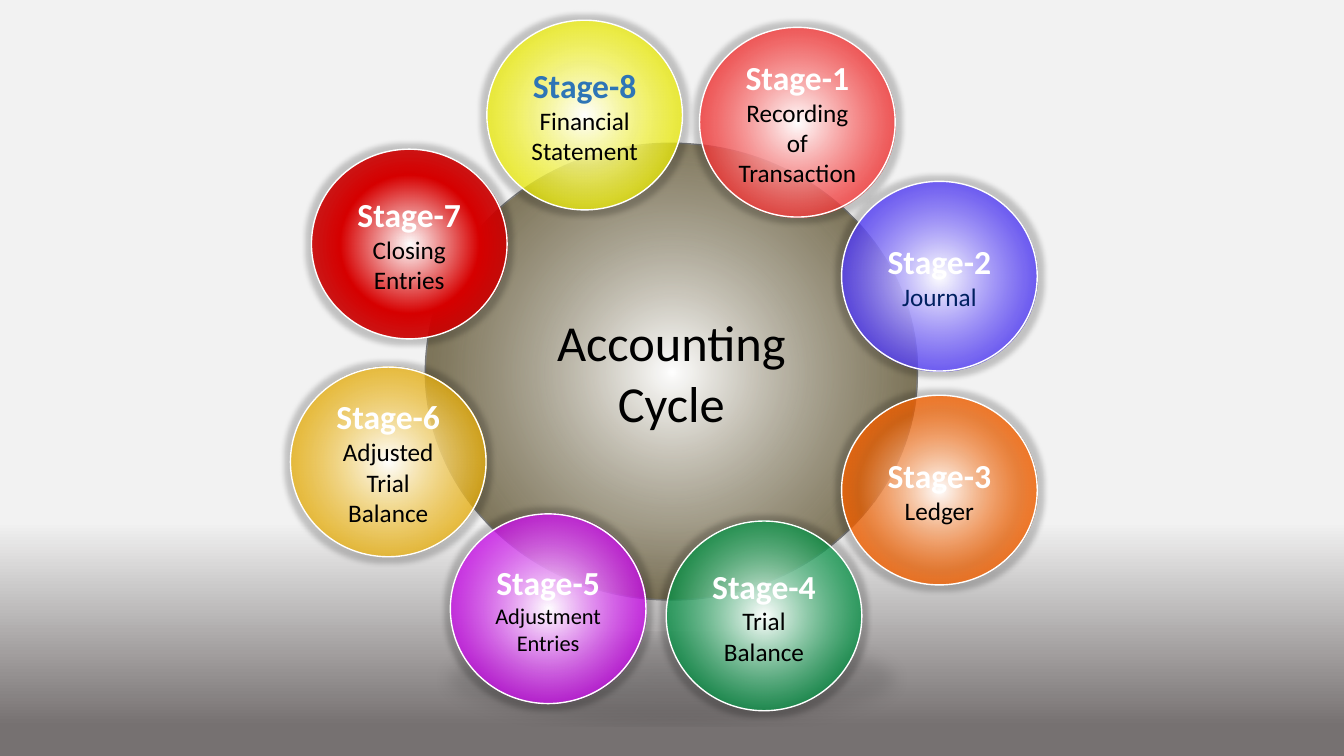
from dataclasses import dataclass

from lxml.etree import SubElement
from pptx import Presentation
from pptx.dml.color import RGBColor
from pptx.enum.shapes import MSO_SHAPE
from pptx.enum.text import MSO_ANCHOR, PP_ALIGN
from pptx.oxml.ns import qn
from pptx.util import Cm, Pt


@dataclass(frozen=True)
class Theme:
    font: str = "Calibri"
    white: str = "FFFFFF"
    black: str = "000000"
    navy: str = "002060"
    blue: str = "2E75B6"
    rim: str = "7A7A7A"
    hub_size: int = 36
    stage_size: int = 24
    step_size: int = 18
    small_step_size: int = 16
    # Gradient stops: position %, colour, opacity %
    backdrop: tuple = ((0, "F2F2F2", 100), (69, "F2F2F2", 100), (96, "767171", 100))
    hub: tuple = ((83, "382A00", 68), (97, "B28600", 100))
    coral: tuple = ((90, "FC0000", 70), (100, "D00000", 100))
    indigo: tuple = ((93, "1E00FE", 70), (100, "2609FF", 100))
    orange: tuple = ((59, "FA6400", 70), (100, "FF6600", 100))
    green: tuple = ((72, "009946", 70), (100, "00B050", 100))
    magenta: tuple = ((73, "D300F7", 70), (100, "D600FA", 100))
    gold: tuple = ((73, "F4B500", 70), (100, "7B5B00", 100))
    red: tuple = ((51, "D70000", 100), (100, "BF0000", 71))
    yellow: tuple = ((72, "FAFA00", 70), (94, "979700", 100))


def add_node(parent, tag, **attributes):
    texts = {name: str(value) for name, value in attributes.items()}
    return SubElement(parent, qn(tag), texts)


def add_color(parent, color, opacity):
    node = add_node(parent, "a:srgbClr", val=color)
    if opacity < 100:
        add_node(node, "a:alpha", val=opacity * 1000)


def swap_for_gradient(properties, stops, radial):
    """Replace the solid fill inside properties with a gradient."""
    solid = properties.find(qn("a:solidFill"))
    gradient = add_node(properties, "a:gradFill", rotWithShape=1)
    stop_list = add_node(gradient, "a:gsLst")
    for position, color, opacity in stops:
        add_color(add_node(stop_list, "a:gs", pos=position * 1000), color, opacity)
    if radial:
        center = add_node(gradient, "a:path", path="circle")
        add_node(center, "a:fillToRect", **dict.fromkeys("ltrb", 50000))
    else:
        add_node(gradient, "a:lin", ang=90 * 60000, scaled=0)
    properties.replace(solid, gradient)


class CycleSlide:
    def __init__(self, deck, theme):
        self.theme = theme
        self.page = deck.slides.add_slide(deck.slide_layouts[6])

    def background(self):
        self.page.background.fill.solid()
        properties = self.page.element.find(".//" + qn("p:bgPr"))
        swap_for_gradient(properties, self.theme.backdrop, radial=False)

    def ball(self, left, top, width, height, stops, rim):
        ball = self.page.shapes.add_shape(
            MSO_SHAPE.OVAL, Cm(left), Cm(top), Cm(width), Cm(height))
        ball.fill.solid()
        swap_for_gradient(
            ball.element.spPr, ((0, self.theme.white, 100), *stops), radial=True)
        ball.line.color.rgb = RGBColor.from_string(rim)
        ball.line.width = Pt(1)
        ball.shadow.inherit = False
        ball.text_frame.word_wrap = True
        ball.text_frame.vertical_anchor = MSO_ANCHOR.MIDDLE
        return ball

    def label(self, para, text, color, **formats):
        para.alignment = PP_ALIGN.CENTER
        span = para.add_run()
        span.text = text
        span.font.color.rgb = RGBColor.from_string(color)
        for name, value in {"name": self.theme.font, **formats}.items():
            setattr(span.font, name, value)

    def hub(self, text):
        theme = self.theme
        ball = self.ball(10.72, 3.61, 12.4, 11.51, theme.hub, theme.rim)
        effects = ball.element.spPr.find(qn("a:effectLst"))
        shadow = add_node(
            effects, "a:outerShdw", blurRad=Pt(12), dist=Pt(25), dir=90 * 60000,
            sx=90000, sy=-19000, rotWithShape=0)
        add_color(shadow, theme.black, 15)
        self.label(ball.text_frame.paragraphs[0], text, theme.black,
                   size=Pt(theme.hub_size))

    def stage(self, number, left, top, stops, step, label_color=None,
              step_color=None, step_size=None):
        theme = self.theme
        ball = self.ball(left, top, 4.93, 4.78, stops, theme.white)
        effects = ball.element.spPr.find(qn("a:effectLst"))
        add_color(add_node(effects, "a:glow", rad=Pt(8)), theme.black, 20)
        frame = ball.text_frame
        self.label(frame.paragraphs[0], f"Stage-{number}", label_color or theme.white,
                   size=Pt(theme.stage_size), bold=True)
        self.label(frame.add_paragraph(), step, step_color or theme.black,
                   size=Pt(step_size or theme.step_size), bold=False)


def main():
    deck = Presentation()
    deck.slide_width, deck.slide_height = Cm(33.87), Cm(19.05)
    theme = Theme()
    slide = CycleSlide(deck, theme)
    slide.background()
    slide.hub("Accounting Cycle")
    stages = [
        (17.63, 0.69, theme.coral, "Recording of Transaction", {}),
        (21.21, 4.57, theme.indigo, "Journal", {"step_color": theme.navy}),
        (21.21, 9.96, theme.orange, "Ledger", {}),
        (16.79, 13.13, theme.green, "Trial Balance", {}),
        (11.35, 12.95, theme.magenta, "Adjustment Entries",
         {"step_size": theme.small_step_size}),
        (7.32, 9.25, theme.gold, "Adjusted Trial Balance", {}),
        (7.85, 3.76, theme.red, "Closing Entries", {}),
        (12.27, 0.51, theme.yellow, "Financial Statement", {"label_color": theme.blue}),
    ]
    for number, (left, top, stops, step, options) in enumerate(stages, start=1):
        slide.stage(number, left, top, stops, step, **options)
    deck.save("out.pptx")


if __name__ == "__main__":
    main()
